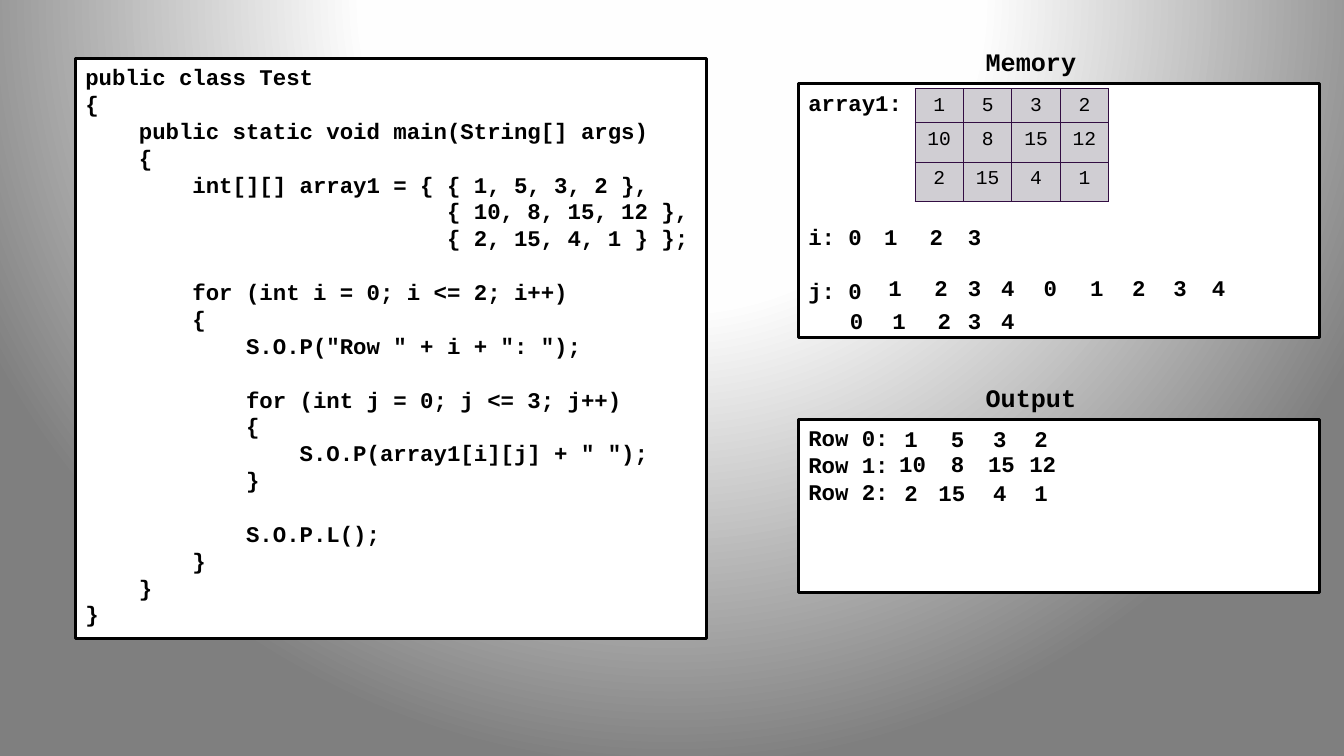
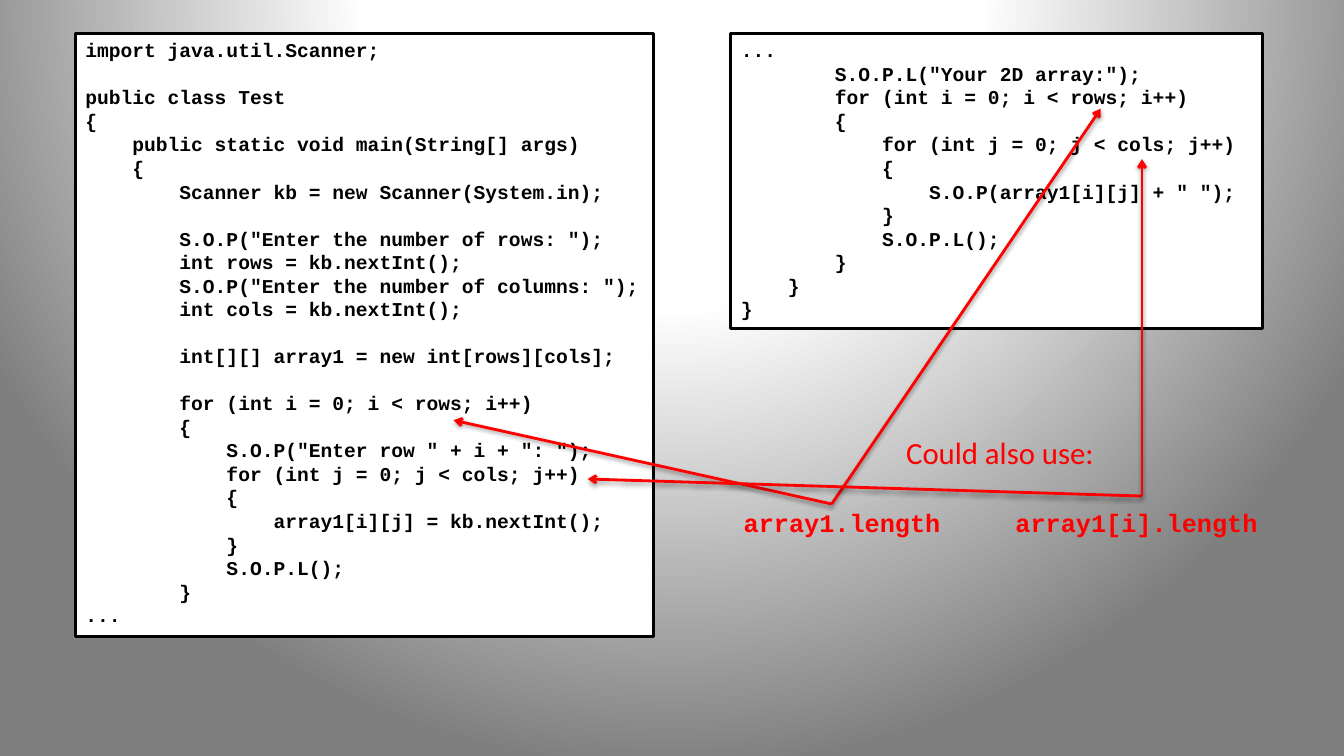
from lxml import etree
from pptx import Presentation
from pptx.dml.color import RGBColor
from pptx.enum import shapes, text
from pptx.oxml import parse_xml
from pptx.oxml.ns import nsdecls, qn
from pptx.util import Cm, Pt

COLORS = {"ink": "000000", "paper": "FFFFFF", "glow": "FEFEFE", "edge": "7F7F7F",
          "accent": "FF0000", "cell": "D0CED3", "grid": "320D42"}
MONO, SANS = "Courier New", "Calibri"
LINE_FACTOR = 1.2

# Panels: (left, top, width, height) in cm, size in points, lines
ARRAY_PANELS = [
    ((20.12, 2.11, 13.13, 6.4), 16, """array1:




i: 0

j: 0"""),
    ((1.9, 1.47, 15.9, 14.63), 16, """public class Test
{
    public static void main(String[] args)
    {
        int[][] array1 = { { 1, 5, 3, 2 },
                           { 10, 8, 15, 12 },
                           { 2, 15, 4, 1 } };

        for (int i = 0; i <= 2; i++)
        {
            S.O.P("Row " + i + ": ");

            for (int j = 0; j <= 3; j++)
            {
                S.O.P(array1[i][j] + " ");
            }

            S.O.P.L();
        }
    }
}"""),
    ((20.12, 10.57, 13.13, 4.37), 16, "Row 0:\nRow 1:\nRow 2:"),
]
SCANNER_PANELS = [
    ((1.9, 0.84, 14.58, 15.21), 14, """import java.util.Scanner;

public class Test
{
    public static void main(String[] args)
    {
        Scanner kb = new Scanner(System.in);

        S.O.P("Enter the number of rows: ");
        int rows = kb.nextInt();
        S.O.P("Enter the number of columns: ");
        int cols = kb.nextInt();

        int[][] array1 = new int[rows][cols];

        for (int i = 0; i < rows; i++)
        {
            S.O.P("Enter row " + i + ": ");
            for (int j = 0; j < cols; j++)
            {
                array1[i][j] = kb.nextInt();
            }
            S.O.P.L();
        }
..."""),
    ((18.42, 0.84, 13.39, 7.44), 14, """...
        S.O.P.L("Your 2D array:");
        for (int i = 0; i < rows; i++)
        {
            for (int j = 0; j < cols; j++)
            {
                S.O.P(array1[i][j] + " ");
            }
            S.O.P.L();
        }
    }
}"""),
]

ARRAY1 = [[1, 5, 3, 2], [10, 8, 15, 12], [2, 15, 4, 1]]
ARRAY_AT = (23.06, 2.24)
ARRAY_COLUMN, ARRAY_ROWS = 1.22, (0.8, 1, 1)

HEADINGS = [("Memory", 1.04), ("Output", 9.5)]
HEADING_CENTER = 25.98

# Traced values: top, values, centre of each value
TRACES = [
    (5.51, [1, 2, 3], [22.45, 23.6, 24.56]),
    (6.78, [1, 2, 3, 4, 0, 1, 2, 3, 4],
     [22.56, 23.72, 24.56, 25.4, 26.47, 27.64, 28.7, 29.74, 30.71]),
    (7.62, [0, 1, 2, 3, 4], [21.59, 22.66, 23.8, 24.56, 25.4]),
    (10.59, ARRAY1[0], [22.96, 24.13, 25.2, 26.24]),
    (11.23, ARRAY1[1], [23, 24.13, 25.24, 26.28]),
    (11.96, ARRAY1[2], [22.96, 23.99, 25.2, 26.24]),
]

# Hints: words, centre, top, size, font, bold
HINTS = [
    ("Could also use:", 25.2, 10.8, 22, SANS, False),
    ("array1.length", 21.22, 12.66, 18, MONO, True),
    ("array1[i].length", 28.64, 12.66, 18, MONO, True),
]
# Where each hint's arrows start, and the loop bounds they point at
ARROWS = [
    ((20.96, 12.7), [(11.43, 10.59), (27.74, 2.74)]),
    ((28.78, 12.5), [(14.81, 12.07), (28.78, 4.01)]),
]


def rgb(name):
    return RGBColor.from_string(COLORS[name])


def style(paragraph, size, color="ink", font=MONO, bold=True):
    paragraph.line_spacing = Pt(size * LINE_FACTOR)
    paragraph.font.size = Pt(size)
    paragraph.font.name = font
    paragraph.font.bold = bold
    paragraph.font.color.rgb = rgb(color)


def set_background(master):
    """Give every slide the spotlight gradient."""
    master.background.fill.solid()
    bg = master.element.find(".//" + qn("p:bgPr"))
    stops = "".join(
        f'<a:gs pos="{pos}"><a:srgbClr val="{COLORS[name]}"/></a:gs>'
        for pos, name in [(0, "paper"), (40000, "glow"), (100000, "edge")])
    gradient = parse_xml(
        f'<a:gradFill {nsdecls("a")} rotWithShape="1"><a:gsLst>{stops}</a:gsLst>'
        '<a:path path="circle"><a:fillToRect l="50000" t="-80000" r="50000" b="180000"/>'
        '</a:path></a:gradFill>')
    bg.replace(bg.find(qn("a:solidFill")), gradient)


def add_panel(slide, box, size, listing):
    """Draw a framed listing; empty lines become space before the next one."""
    panel = slide.shapes.add_shape(shapes.MSO_SHAPE.RECTANGLE, *map(Cm, box))
    panel.shadow.inherit = False
    panel.fill.solid()
    panel.fill.fore_color.rgb = rgb("paper")
    panel.line.color.rgb = rgb("ink")
    panel.line.width = Pt(2)
    frame = panel.text_frame
    frame.word_wrap = True
    frame.vertical_anchor = text.MSO_ANCHOR.TOP
    skipped = 0
    for number, line in enumerate(listing.split("\n")):
        if not line:
            skipped += 1
            continue
        paragraph = frame.add_paragraph() if number else frame.paragraphs[0]
        paragraph.text = line
        paragraph.alignment = text.PP_ALIGN.LEFT
        style(paragraph, size)
        if skipped:
            paragraph.space_before = Pt(skipped * size * LINE_FACTOR)
            skipped = 0


def add_label(slide, words, center, top, size, font=MONO, bold=True, color="ink", width=7):
    label = slide.shapes.add_textbox(Cm(center - width / 2), Cm(top), Cm(width), Cm(1))
    frame = label.text_frame
    frame.word_wrap = True
    frame.margin_left = frame.margin_right = 0
    paragraph = frame.paragraphs[0]
    paragraph.text = str(words)
    paragraph.alignment = text.PP_ALIGN.CENTER
    style(paragraph, size, color, font, bold)


def add_array(slide):
    rows, columns = len(ARRAY1), len(ARRAY1[0])
    size = (ARRAY_COLUMN * columns, sum(ARRAY_ROWS))
    table = slide.shapes.add_table(rows, columns, *map(Cm, ARRAY_AT + size)).table
    table.first_row = table.horz_banding = False
    for column in table.columns:
        column.width = Cm(ARRAY_COLUMN)
    for row, height, values in zip(table.rows, ARRAY_ROWS, ARRAY1):
        row.height = Cm(height)
        for cell, value in zip(row.cells, values):
            cell.text = str(value)
            paragraph = cell.text_frame.paragraphs[0]
            paragraph.alignment = text.PP_ALIGN.CENTER
            style(paragraph, 14, bold=False)
            cell.fill.solid()
            cell.fill.fore_color.rgb = rgb("cell")
            add_borders(cell)


def add_borders(cell):
    properties = cell._tc.get_or_add_tcPr()
    for index, side in enumerate(("lnL", "lnR", "lnT", "lnB")):
        properties.insert(index, parse_xml(
            f'<a:{side} {nsdecls("a")} w="{Pt(0.75)}"><a:solidFill>'
            f'<a:srgbClr val="{COLORS["grid"]}"/></a:solidFill></a:{side}>'))


def add_arrow(slide, start, end):
    arrow = slide.shapes.add_connector(shapes.MSO_CONNECTOR.STRAIGHT, *map(Cm, start + end))
    arrow.line.color.rgb = rgb("accent")
    arrow.line.width = Pt(2)
    etree.SubElement(arrow.line._get_or_add_ln(), qn("a:tailEnd"), type="arrow")
    arrow._element.spPr.append(parse_xml(
        f'<a:effectLst {nsdecls("a")}><a:outerShdw blurRad="40000" dist="20000" '
        f'dir="5400000" rotWithShape="0"><a:srgbClr val="{COLORS["ink"]}">'
        '<a:alpha val="38000"/></a:srgbClr></a:outerShdw></a:effectLst>'))


def add_slide(prs, panels):
    slide = prs.slides.add_slide(prs.slide_layouts[6])
    for panel in panels:
        add_panel(slide, *panel)
    return slide


def main():
    prs = Presentation()
    prs.slide_width, prs.slide_height = Cm(33.87), Cm(19.05)
    set_background(prs.slide_master)

    array_slide = add_slide(prs, ARRAY_PANELS)
    add_array(array_slide)
    for heading, top in HEADINGS:
        add_label(array_slide, heading, HEADING_CENTER, top, 18)
    for top, values, centers in TRACES:
        for value, center in zip(values, centers):
            add_label(array_slide, value, center, top, 16, width=1.2)

    scanner_slide = add_slide(prs, SCANNER_PANELS)
    for hint in HINTS:
        add_label(scanner_slide, *hint, color="accent")
    for start, ends in ARROWS:
        for end in ends:
            add_arrow(scanner_slide, start, end)

    prs.save("out.pptx")


if __name__ == "__main__":
    main()
